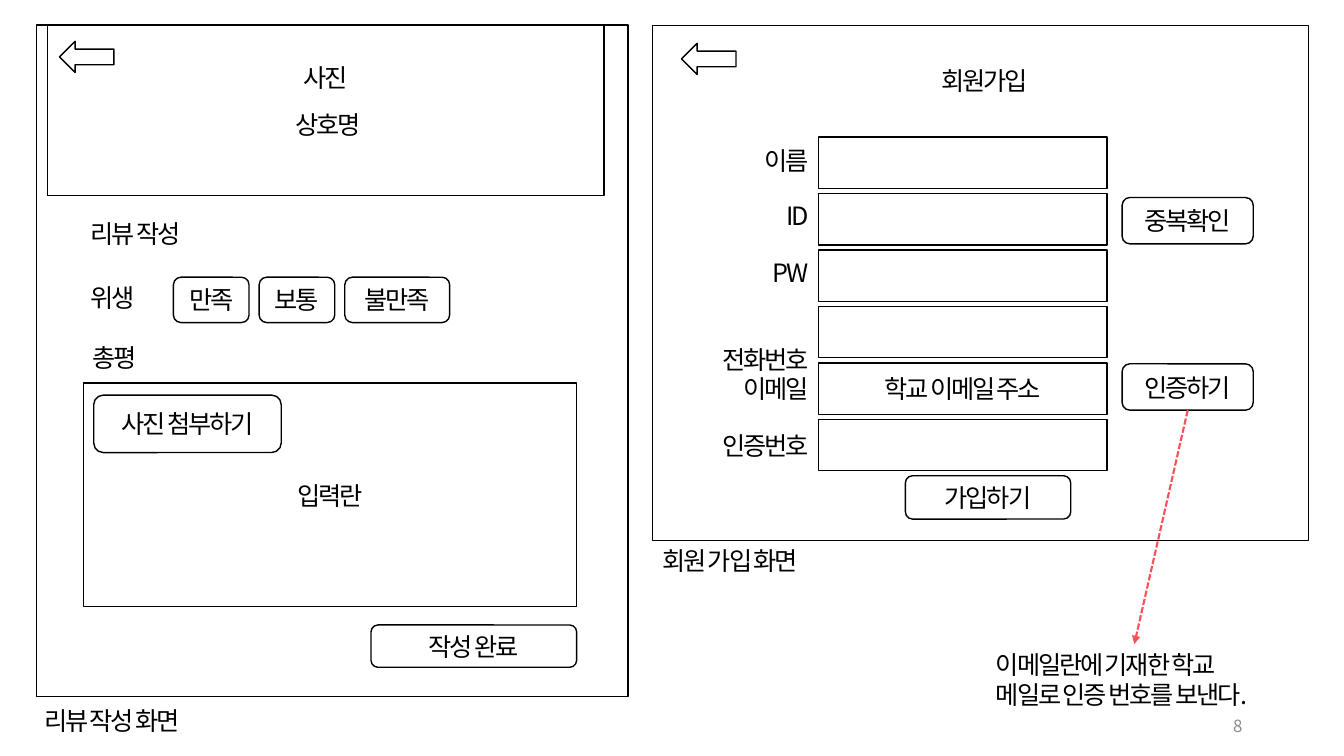
from pptx import Presentation
from pptx.dml.color import RGBColor
from pptx.enum.dml import MSO_LINE
from pptx.enum.shapes import MSO_CONNECTOR, MSO_SHAPE
from pptx.enum.text import MSO_ANCHOR, PP_ALIGN
from pptx.oxml.ns import qn
from pptx.util import Inches, Pt
from lxml import etree

RECT, ROUND, ARROW = MSO_SHAPE.RECTANGLE, MSO_SHAPE.ROUNDED_RECTANGLE, MSO_SHAPE.LEFT_ARROW
LEFT, CENTER, RIGHT = PP_ALIGN.LEFT, PP_ALIGN.CENTER, PP_ALIGN.RIGHT
TOP, MIDDLE = MSO_ANCHOR.TOP, MSO_ANCHOR.MIDDLE
FONT = "Noto Sans CJK KR"
BLACK, GRAY, RED = "000000", "8C8C8C", "FF4E55"

prs = Presentation()
prs.slide_width, prs.slide_height = Inches(13.33), Inches(7.5)
s = prs.slides.add_slide(prs.slide_layouts[6])

# Grid of square cells: 133.3 columns by 75 rows
CELL = prs.slide_height / 75


def write(sp, text, align, anchor=MIDDLE, size=18, color=BLACK, spacing=-150):
    tf = sp.text_frame
    tf.word_wrap = True
    tf.vertical_anchor = anchor
    p = tf.paragraphs[0]
    p.alignment = align
    r = p.add_run()
    r.text = text
    for name, value in {"name": FONT, "size": Pt(size)}.items():
        setattr(r.font, name, value)
    r.font.color.rgb = RGBColor.from_string(color)
    rPr = r.font._element
    rPr.set("spc", str(spacing))
    etree.SubElement(rPr, qn("a:ea")).set("typeface", FONT)


def add(kind, col, row, cols, rows, text="", align=LEFT):
    box = [round(v * CELL) for v in (col, row, cols, rows)]
    if kind is None:
        sp = s.shapes.add_textbox(*box)
        if text:
            write(sp, text, align, TOP)
        return sp
    sp = s.shapes.add_shape(kind, *box)
    sp.shadow.inherit = False
    sp.fill.background()
    sp.line.color.rgb = RGBColor.from_string(BLACK)
    sp.line.width = Pt(1)
    if text:
        write(sp, text, CENTER)
    return sp


# Review screen: frame, photo header and input area
add(RECT, 3.6, 2.5, 58.7, 66.6)
add(RECT, 4.7, 2.5, 55.2, 16.9)
add(RECT, 8.3, 38, 48.9, 22.2, "입력란")
add(ARROW, 5.9, 4.1, 5.4, 3.1)

# Review screen: labels
for col, row, cols, text in [
    (29.1, 5.7, 6.6, "사진"),
    (28.3, 10.4, 9.5, "상호명"),
    (8, 21.2, 14.8, "리뷰 작성"),
    (8, 27.5, 9.2, "위생"),
    (8.2, 33.5, 10.4, "총평"),
    (3.4, 69.5, 23.9, "리뷰 작성 화면"),
]:
    add(None, col, row, cols, 4, text)

# Review screen: rating buttons, one column apart
col = 17.2
for text, cols in [("만족", 7.5), ("보통", 7.5), ("불만족", 10.4)]:
    add(ROUND, col, 27.5, cols, 4.5, text)
    col += cols + 1

# Review screen: action buttons
add(ROUND, 9.3, 39.2, 18.6, 5.7, "사진 첨부하기")
add(ROUND, 36.8, 62, 20.4, 4.2, "작성 완료")

# Sign-up screen: frame, title and caption
add(RECT, 64.7, 2.5, 65.1, 51.1)
add(ARROW, 67.6, 4.3, 5.4, 3.1)
add(None, 92.4, 6, 10.7, 4, "회원가입")
add(None, 64.7, 53.6, 21.2, 4, "회원 가입 화면")

# Sign-up screen: form fields at an even pitch, each with its label row
for i, (label, row, hint) in enumerate([
    ("이름", 13.9, ""),
    ("ID", 19.4, ""),
    ("PW", 25, ""),
    ("전화번호", 33.7, ""),
    ("이메일", 36.5, "학교 이메일 주소"),
    ("인증번호", 42.2, ""),
]):
    add(RECT, 81.2, 13.6 + 5.6 * i, 28.6, 5.1, hint)
    add(None, 70.5, row, 10.7, 4, label, RIGHT)

# Sign-up screen: buttons
add(ROUND, 111.3, 19.6, 13, 4.6, "중복확인")
verify = add(ROUND, 111.3, 36.1, 13, 4.6, "인증하기")
add(ROUND, 89.8, 47.2, 16.4, 4.3, "가입하기")

# Explanation of the verify button, with a dashed arrow
note = add(None, 97.8, 63.9, 29.4, 7.1, "이메일란에 기재한 학교 메일로 인증 번호를 보낸다.")
line = s.shapes.add_connector(MSO_CONNECTOR.STRAIGHT, 0, 0, 0, 0)
line.begin_connect(verify, 2)
line.end_connect(note, 0)
line.line.color.rgb = RGBColor.from_string(RED)
line.line.width = Pt(1.5)
line.line.dash_style = MSO_LINE.SQUARE_DOT
ln = line.line._get_or_add_ln()
ln.find(qn("a:prstDash")).set("val", "sysDash")
etree.SubElement(ln, qn("a:tailEnd")).set("type", "triangle")
etree.SubElement(line._element.spPr, qn("a:effectLst"))

# Page number
write(add(None, 94.2, 70, 30, 4), "8", RIGHT, size=12, color=GRAY, spacing=0)

prs.save("out.pptx")
